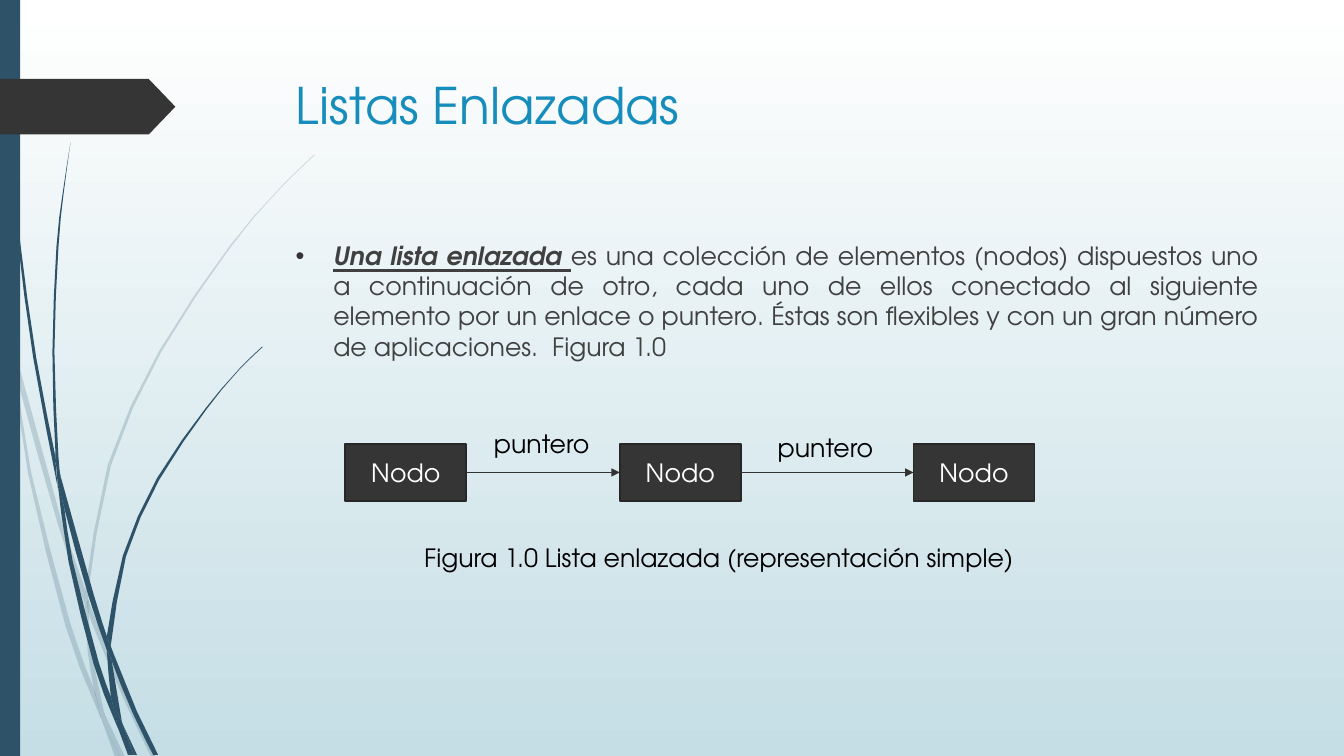
from lxml import etree
from pptx import Presentation
from pptx import util as u
from pptx.dml.color import RGBColor
from pptx.enum import shapes, text
from pptx.oxml.ns import qn

FONT = "TeX Gyre Adventor"
WHITE = RGBColor(0xFF, 0xFF, 0xFF)
BLACK = RGBColor(0x00, 0x00, 0x00)
PALE_BLUE = RGBColor(0xC5, 0xDE, 0xE5)
NAVY = RGBColor(0x2E, 0x53, 0x69)
TITLE_BLUE = RGBColor(0x17, 0x8D, 0xBB)
CHARCOAL = RGBColor(0x35, 0x35, 0x35)
NODE_EDGE = RGBColor(0x27, 0x27, 0x27)
ARROW_GREY = RGBColor(0x33, 0x33, 0x33)
BODY_GREY = RGBColor(0x40, 0x40, 0x40)

# Each blade is a pair of edges, in hundredths of an inch.
PALE_BLADES = [
    ([(0, 299), (10, 344), (11, 350)], [(9, 322), (0, 282)]),
    ([(14, 345), (17, 376), (58, 522), (84, 599)], [(85, 586), (62, 520), (14, 345)]),
    ([(88, 596), (88, 610), (123, 694), (150, 751)], [(155, 751), (127, 692), (92, 607)]),
    ([(105, 711), (119, 751)], [(124, 751), (105, 711)]),
    ([(11, 350), (28, 470), (65, 621), (92, 693), (101, 714)],
     [(99, 707), (93, 683), (70, 619), (31, 469), (17, 376), (11, 350)]),
    ([(84, 599), (87, 646), (93, 683), (96, 692), (105, 711)],
     [(103, 706), (91, 646), (88, 610), (88, 608)]),
    ([(312, 153), (289, 175), (268, 197), (228, 244), (158, 348), (107, 461), (85, 584), (85, 586)],
     [(88, 596), (88, 584), (110, 462), (160, 349), (229, 245), (268, 198), (290, 175), (312, 154)]),
    ([(101, 714), (114, 751)], [(119, 751), (101, 714)]),
    ([(85, 586), (84, 599)], [(88, 608), (88, 610), (88, 596)]),
    ([(93, 683), (99, 707), (101, 714), (119, 751)], [(105, 711), (96, 692)]),
]
DARK_BLADES = [
    ([(3, 0), (4, 48), (7, 110), (17, 233), (33, 355), (56, 477), (57, 481)],
     [(55, 457), (55, 453), (36, 355), (19, 232), (8, 109), (5, 48), (4, 0)]),
    ([(60, 472), (64, 505), (88, 592), (106, 645)], [(106, 633), (106, 631), (93, 590), (60, 472)]),
    ([(110, 641), (111, 656), (132, 708), (152, 749)], [(157, 749), (136, 706), (113, 649)]),
    ([(57, 477), (68, 557), (93, 659), (111, 708), (117, 722)],
     [(116, 717), (110, 691), (98, 657), (72, 556), (64, 505), (57, 477)]),
    ([(70, 141), (62, 193), (56, 245), (52, 349), (55, 449), (60, 472)],
     [(60, 472), (58, 453), (54, 349), (58, 245), (63, 193), (70, 141)]),
    ([(122, 719), (133, 749)], [(136, 749), (122, 719)]),
    ([(55, 449), (55, 453), (57, 477)], [(64, 505), (60, 472), (55, 449)]),
    ([(260, 344), (245, 358), (231, 373), (204, 405), (156, 474), (122, 551), (106, 631)],
     [(110, 641), (111, 633), (125, 552), (158, 476), (205, 406), (231, 374), (245, 359), (261, 344)]),
    ([(117, 722), (127, 749)], [(131, 749), (117, 722)]),
    ([(106, 645), (110, 691), (116, 706), (122, 719)], [(121, 716), (111, 656), (109, 651)]),
    ([(106, 631), (106, 645)], [(109, 651), (111, 656), (110, 641)]),
    ([(110, 691), (116, 717), (117, 722), (130, 749)], [(133, 749), (122, 719), (116, 706)]),
]


def smooth(points):
    """Halve each step of an edge along its Catmull-Rom curve."""
    if len(points) < 4:
        return points
    padded = [points[0], *points, points[-1]]
    curve = [points[0]]
    for a, b, c, d in zip(padded, padded[1:], padded[2:], padded[3:]):
        middle = tuple((9 * (q + r) - p - s) / 16 for p, q, r, s in zip(a, b, c, d))
        curve += [middle, c]
    return curve


def paint(shape, color, edge=None):
    shape.shadow.inherit = False
    shape.fill.solid()
    shape.fill.fore_color.rgb = color
    if edge is None:
        shape.line.fill.background()
    else:
        shape.line.color.rgb = edge
        shape.line.width = u.Pt(1.25)


def add_blade(slide, edges, opacity=100):
    unit = u.Cm(2.54) / 100
    outline = [(x * unit, y * unit) for edge in edges for x, y in smooth(edge)]
    builder = slide.shapes.build_freeform(*outline[0])
    builder.add_line_segments(outline[1:], close=True)
    blade = builder.convert_to_shape()
    paint(blade, NAVY)
    if opacity < 100:
        color = blade.fill._xPr.find(".//" + qn("a:srgbClr"))
        etree.SubElement(color, qn("a:alpha"), val=str(opacity * 1000))


def add_block(slide, kind, left, top, width, height, color, edge=None):
    block = slide.shapes.add_shape(kind, u.Cm(left), u.Cm(top), u.Cm(width), u.Cm(height))
    paint(block, color, edge)
    return block


def write(para, words, size=18, color=BLACK, strong=False):
    """Add a span; strong means bold, italic and underlined."""
    span = para.add_run()
    span.text = words
    font = span.font
    font.name, font.size, font.color.rgb = FONT, u.Pt(size), color
    font.bold = font.italic = font.underline = strong


def add_text(slide, left, top, width, height, wrap=True):
    """Add an empty text box and return its first paragraph."""
    box = slide.shapes.add_textbox(u.Cm(left), u.Cm(top), u.Cm(width), u.Cm(height))
    frame = box.text_frame
    frame.word_wrap = wrap
    if not wrap:
        frame.auto_size = text.MSO_AUTO_SIZE.SHAPE_TO_FIT_TEXT
    return frame.paragraphs[0]


def add_bullet(para, indent):
    props = para._p.get_or_add_pPr()
    props.set("marL", str(indent))
    props.set("indent", str(-indent))
    color = etree.SubElement(props, qn("a:buClr"))
    etree.SubElement(color, qn("a:srgbClr"), val=str(CHARCOAL))
    etree.SubElement(props, qn("a:buFont"), typeface="Arial")
    etree.SubElement(props, qn("a:buChar"), char="•")


def add_node(slide, left):
    node = add_block(slide, shapes.MSO_SHAPE.RECTANGLE, left, 11.18, 3.05, 1.45, CHARCOAL, NODE_EDGE)
    node.text_frame.vertical_anchor = text.MSO_ANCHOR.MIDDLE
    para = node.text_frame.paragraphs[0]
    para.alignment = text.PP_ALIGN.CENTER
    write(para, "Nodo", color=WHITE)
    return node


def add_pointer(slide, source, target):
    arrow = slide.shapes.add_connector(shapes.MSO_CONNECTOR.STRAIGHT, 0, 0, 0, 0)
    arrow.begin_connect(source, 3)
    arrow.end_connect(target, 1)
    arrow.line.color.rgb = ARROW_GREY
    arrow.line.width = u.Pt(0.75)
    etree.SubElement(arrow.line._get_or_add_ln(), qn("a:tailEnd"), type="triangle")
    etree.SubElement(arrow._element.spPr, qn("a:effectLst"))


def add_backdrop(slide):
    fill = slide.background.fill
    fill.gradient()
    fill.gradient_angle = 270
    for stop, color in zip(fill.gradient_stops, (WHITE, PALE_BLUE)):
        stop.color.rgb = color
    for blades, opacity in ((PALE_BLADES, 20), (DARK_BLADES, 100)):
        for edges in blades:
            add_blade(slide, edges, opacity)
    add_block(slide, shapes.MSO_SHAPE.RECTANGLE, 0, 0, 0.51, 19.05, NAVY)
    tag = add_block(slide, shapes.MSO_SHAPE.PENTAGON, 0, 1.99, 4.42, 1.4, CHARCOAL)
    tag.adjustments[0] = 0.48


def main():
    deck = Presentation()
    deck.slide_width, deck.slide_height = u.Cm(33.87), u.Cm(19.05)
    slide = deck.slides.add_slide(deck.slide_layouts[6])
    add_backdrop(slide)
    write(add_text(slide, 7.21, 1.74, 24.77, 3.56), "Listas Enlazadas", size=36, color=TITLE_BLUE)

    body = add_text(slide, 7.2, 5.93, 24.77, 10.49)
    body.alignment = text.PP_ALIGN.JUSTIFY
    body.space_before = u.Pt(10)
    add_bullet(body, u.Cm(0.95))
    write(body, "Una lista enlazada ", color=BODY_GREY, strong=True)
    write(body, "es una colección de elementos (nodos) dispuestos uno a continuación de otro, cada uno "
          "de ellos conectado al siguiente elemento por un enlace o puntero. Éstas son flexibles y con "
          "un gran número de aplicaciones.  Figura 1.0", color=BODY_GREY)

    nodes = [add_node(slide, left) for left in (8.7, 15.62, 23.02)]
    for source, target in zip(nodes, nodes[1:]):
        add_pointer(slide, source, target)
    for left, top in ((12.2, 10.67), (19.35, 10.77)):
        write(add_text(slide, left, top, 2.97, 1.02, wrap=False), "puntero")
    write(add_text(slide, 10.44, 13.54, 15.65, 1.02, wrap=False),
          "Figura 1.0 Lista enlazada (representación simple)")
    deck.save("out.pptx")


if __name__ == "__main__":
    main()
